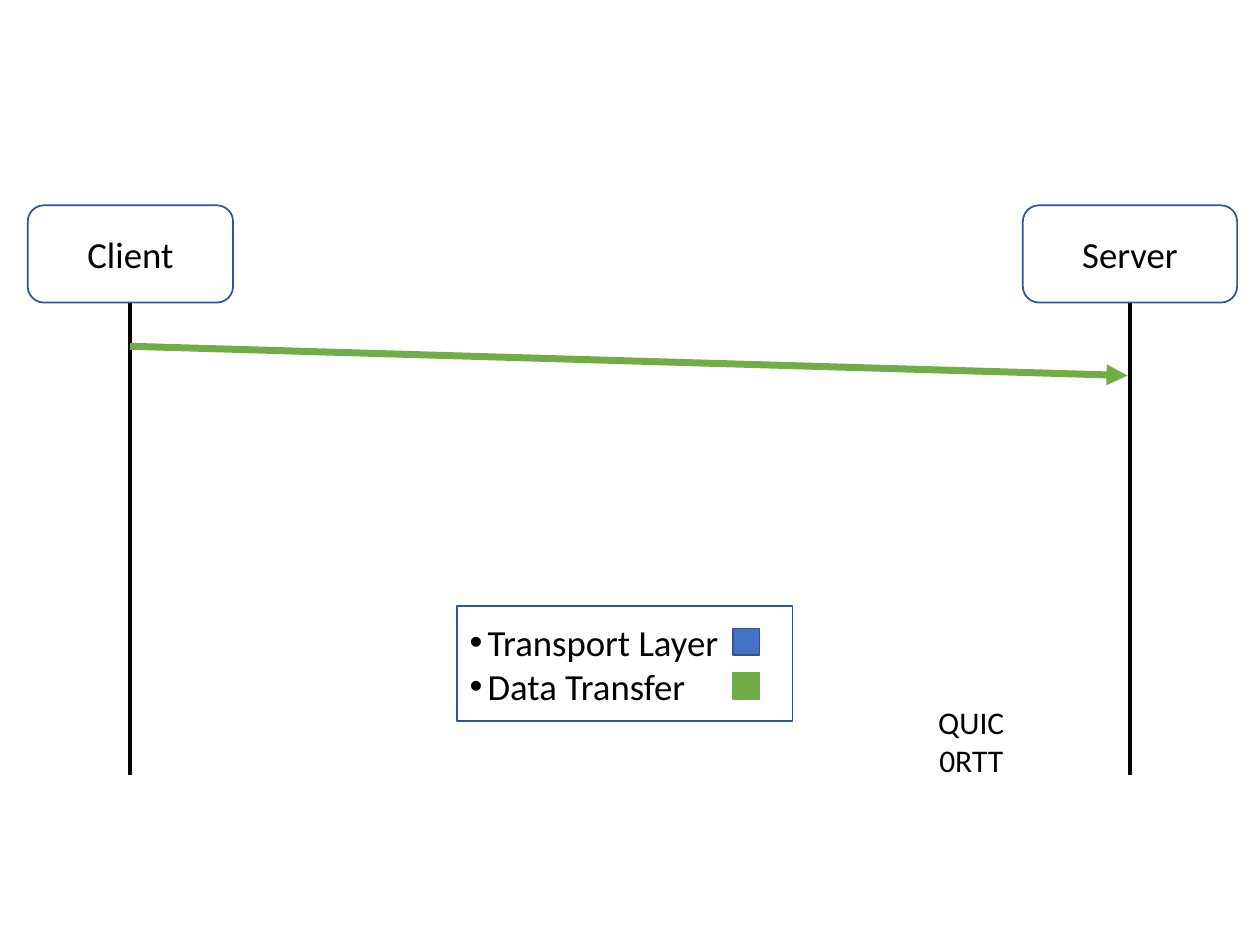
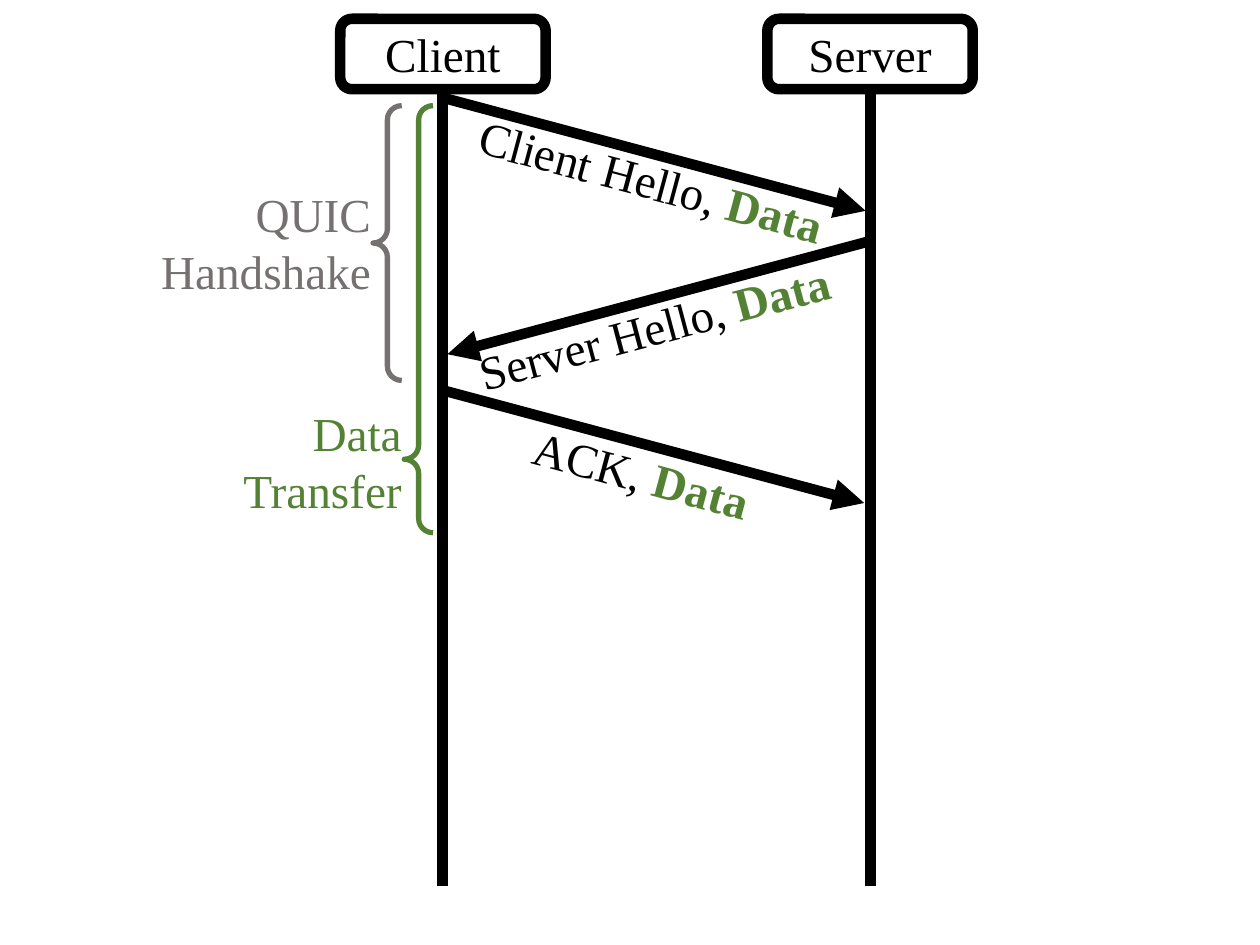
import lxml.etree
import pptx
import pptx.dml.color
import pptx.enum.shapes
import pptx.enum.text
import pptx.oxml.ns
import pptx.util

Cm = pptx.util.Cm
Pt = pptx.util.Pt
qn = pptx.oxml.ns.qn
rgb = pptx.dml.color.RGBColor.from_string
SHAPE = pptx.enum.shapes.MSO_SHAPE
ALIGN = pptx.enum.text.PP_ALIGN

BLACK, WHITE = "000000", "FFFFFF"
NAVY, BLUE, LIME = "325491", "4472C4", "70AD47"
GREEN, GRAY = "548235", "767171"
SANS = ("Calibri", 21)
SERIF = ("Times New Roman", 27)


def add_part(slide, kind, box, text="", font=SANS, color=BLACK, align=ALIGN.CENTER,
             fill=None, outline=None, width=1):
    """Add a preset shape, or a text box when kind is None; box is in cm."""
    place = [Cm(length) for length in box]
    if kind is None:
        part = slide.shapes.add_textbox(*place)
        part.text_frame.auto_size = pptx.enum.text.MSO_AUTO_SIZE.SHAPE_TO_FIT_TEXT
    else:
        part = slide.shapes.add_shape(kind, *place)
        part.shadow.inherit = False
        part.line.color.rgb = rgb(outline)
        part.line.width = Pt(width)
        if fill:
            part.fill.solid()
            part.fill.fore_color.rgb = rgb(fill)
        else:
            part.fill.background()
        part.text_frame.vertical_anchor = pptx.enum.text.MSO_ANCHOR.MIDDLE
    if text:
        part.text_frame.text = text
        for paragraph in part.text_frame.paragraphs:
            paragraph.alignment = align
            for run in paragraph.runs:
                run.font.name, run.font.size = font[0], Pt(font[1])
                run.font.color.rgb = rgb(color)
    return part


def add_line(slide, start, end, color, width, arrow=False):
    """Draw a straight line between two points in cm, optionally with an arrowhead."""
    line = slide.shapes.add_connector(
        pptx.enum.shapes.MSO_CONNECTOR.STRAIGHT, *[Cm(n) for n in (*start, *end)])
    line.line.color.rgb = rgb(color)
    line.line.width = Pt(width)
    if arrow:
        lxml.etree.SubElement(line.line._get_or_add_ln(), qn("a:tailEnd"), type="triangle")
    lxml.etree.SubElement(line._element.spPr, qn("a:effectLst"))


presentation = pptx.Presentation()
presentation.slide_width, presentation.slide_height = Cm(25.4), Cm(19.05)
blank = presentation.slide_layouts[6]

# Slide 1: 0RTT exchange with a legend
overview = presentation.slides.add_slide(blank)
for name, left, width in (("Client", 0.56, 4.14), ("Server", 20.62, 4.32)):
    add_part(overview, SHAPE.ROUNDED_RECTANGLE, (left, 4.14, width, 1.96), name, outline=NAVY)
for axis in (2.62, 22.78):
    add_line(overview, (axis, 6.1), (axis, 15.62), BLACK, 2.25)
add_line(overview, (2.62, 6.98), (22.73, 7.57), LIME, 4, arrow=True)

caption = add_part(overview, None, (17.04, 14.05, 5.08, 1.8), "QUIC\n0RTT", ("Calibri", 18))
caption.text_frame.word_wrap = True

legend = add_part(overview, SHAPE.RECTANGLE, (9.22, 12.22, 6.76, 2.31),
                  "Transport Layer\nData Transfer", align=ALIGN.LEFT,
                  fill=WHITE, outline=NAVY)
for entry in legend.text_frame.paragraphs:
    properties = entry._p.get_or_add_pPr()
    properties.set("marL", str(Cm(0.36)))
    properties.set("indent", str(-Cm(0.36)))
    lxml.etree.SubElement(properties, qn("a:buFont"), typeface="Arial")
    lxml.etree.SubElement(properties, qn("a:buChar"), char="•")
for row, (fill, outline) in enumerate(((BLUE, NAVY), (LIME, LIME))):
    add_part(overview, SHAPE.RECTANGLE, (14.78, 12.67 + 0.89 * row, 0.53, 0.53),
             fill=fill, outline=outline)

# Slide 2: QUIC handshake in detail
handshake = presentation.slides.add_slide(blank)
for name, left, axis in (("Client", 6.86, 8.92), ("Server", 15.47, 17.55)):
    add_part(handshake, SHAPE.ROUNDED_RECTANGLE, (left, 0.38, 4.14, 1.42), name, SERIF,
             fill=WHITE, outline=BLACK, width=6)
    add_line(handshake, (axis, 1.8), (axis, 17.86), BLACK, 6)

# Message, arrow start, horizontal reach, label box, label angle
messages = (
    ("Client Hello, ", (8.89, 1.96), 8.56, (9.32, 2.95, 7.7, 1.42), 15),
    ("Server Hello, ", (17.58, 4.85), -8.56, (9.3, 5.87, 7.85, 1.42), -15),
    ("ACK, ", (8.86, 7.85), 8.56, (10.46, 8.86, 5, 1.42), 15),
)
for message, (x, y), reach, box, angle in messages:
    add_line(handshake, (x, y), (x + reach, y + 2.29), BLACK, 6, arrow=True)
    label = add_part(handshake, None, box, message, SERIF, align=ALIGN.LEFT)
    label.text_frame.word_wrap = False
    label.rotation = angle
    payload = label.text_frame.paragraphs[0].add_run()
    payload.text = "Data"
    payload.font.name, payload.font.size = SERIF[0], Pt(SERIF[1])
    payload.font.bold = True
    payload.font.color.rgb = rgb(GREEN)

# Phase name, its box, brace left, brace height, brace tip, colour
phases = (
    ("QUIC\vHandshake", (2.95, 3.61, 4.78, 2.57), 7.52, 5.54, 0.5, GRAY),
    ("Data\vTransfer", (4.62, 8.03, 3.73, 2.57), 8.15, 8.61, 0.828, GREEN),
)
for phase, box, left, height, tip, color in phases:
    title = add_part(handshake, None, box, phase, SERIF, color, ALIGN.RIGHT)
    title.text_frame.word_wrap = False
    brace = add_part(handshake, SHAPE.LEFT_BRACE, (left, 2.13, 0.58, height),
                     outline=color, width=3)
    brace.adjustments[0], brace.adjustments[1] = 0.49, tip

presentation.save("out.pptx")
